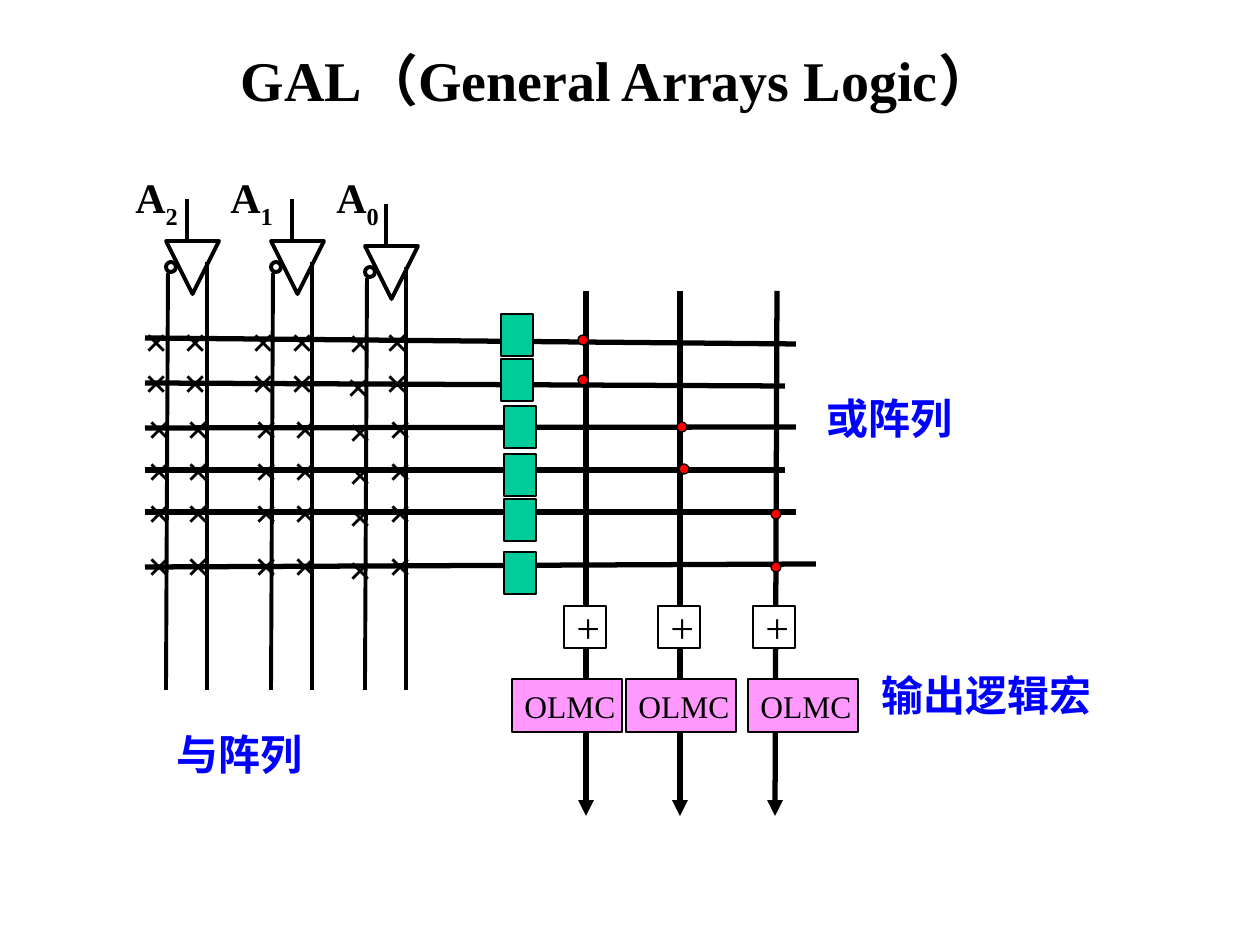
from pptx import Presentation
from pptx.dml.color import RGBColor
from pptx.enum.shapes import MSO_CONNECTOR, MSO_SHAPE
from pptx.enum.text import MSO_ANCHOR, MSO_AUTO_SIZE, PP_ALIGN
from pptx.oxml.ns import qn
from pptx.util import Emu, Pt
from lxml import etree

RECT, OVAL = MSO_SHAPE.RECTANGLE, MSO_SHAPE.OVAL
TRIANGLE = MSO_SHAPE.ISOSCELES_TRIANGLE
STRAIGHT = MSO_CONNECTOR.STRAIGHT
LEFT, CENTER = PP_ALIGN.LEFT, PP_ALIGN.CENTER
MIDDLE = MSO_ANCHOR.MIDDLE

# Content, lengths in px
TITLE = "GAL（General Arrays Logic）"
CAPTIONS = [("与阵列", 164, 722, 252), ("或阵列", 814, 386, 252),
            ("输出逻辑宏", 869, 663, 325)]
# subscript, buffer left, buffer top, label left
INPUTS = [("2", 166, 241, 123), ("1", 271, 241, 218), ("0", 365, 246, 324)]
# product lines: start y, end y, end x, AND gate x and y, cross y
ROW_LEFT = 145
ROWS = [(338, 344, 796, 501, 314, 309), (383, 386, 785, 501, 359, 350),
        (428, 427, 796, 504, 406, 396), (470, 470, 785, 504, 454, 438),
        (512, 512, 796, 504, 499, 480), (567, 564, 816, 504, 552, 533)]
CROSS_X = [132, 171, 239, 278, 373]
CROSS_A0 = [(336, 310), (334, 354), (336, 399), (336, 442), (336, 484), (336, 537)]
# sum lines: top x, bottom x, plus left, macrocell left, fuse dots
SUMS = [(586, 586, 564, 512, [(578, 335), (578, 375)]),
        (680, 680, 658, 626, [(677, 422), (679, 464)]),
        (777, 775, 753, 748, [(771, 509), (771, 562)])]

THEME = {"font": "Times New Roman", "ink": "000000", "note": "0000FF",
         "gate": "00CC99", "plus": "FFFFFF", "macro": "FF99FF", "dot": "FF0000",
         "title": 32, "label": 24, "small": 18,
         "thin": 0.75, "medium": 2.25, "thick": 3}


def px(v):
    return Emu(round(v * 914400 / 126))


def color(name):
    return RGBColor.from_string(THEME[name])


def add_run(p, text, size="label", ink="ink", bold=True):
    r = p.add_run()
    r.text = text
    look = {"name": THEME["font"], "size": Pt(THEME[size]), "bold": bold}
    for key, value in look.items():
        setattr(r.font, key, value)
    r.font.color.rgb = color(ink)
    return r


def add_line(s, x1, y1, x2, y2, width="medium", arrow=False):
    c = s.shapes.add_connector(STRAIGHT, px(x1), px(y1), px(x2), px(y2))
    c.line.color.rgb = color("ink")
    c.line.width = Pt(THEME[width])
    if arrow:
        etree.SubElement(c.line._get_or_add_ln(), qn("a:tailEnd"), type="triangle")
    etree.SubElement(c._element.spPr, qn("a:effectLst"))


def add_box(s, kind, x, y, w, h, fill=None, width="thin", text="", size="label"):
    sp = s.shapes.add_shape(kind, px(x), px(y), px(w), px(h))
    sp.shadow.inherit = False
    if fill:
        sp.fill.solid()
        sp.fill.fore_color.rgb = color(fill)
    else:
        sp.fill.background()
    sp.line.color.rgb = color("ink")
    sp.line.width = Pt(THEME[width])
    if text:
        tf = sp.text_frame
        tf.word_wrap = False
        tf.vertical_anchor = MIDDLE
        tf.paragraphs[0].alignment = LEFT
        add_run(tf.paragraphs[0], text, size, bold=False)
    return sp


def add_label(s, text, x, y, w, h=63, ink="ink"):
    tf = s.shapes.add_textbox(px(x), px(y), px(w), px(h)).text_frame
    tf.word_wrap = True
    tf.auto_size = MSO_AUTO_SIZE.SHAPE_TO_FIT_TEXT
    add_run(tf.paragraphs[0], text, ink=ink)
    return tf.paragraphs[0]


def add_input(s, index, x, y, label_x):
    add_box(s, TRIANGLE, x, y, 53, 53, width="medium").rotation = 180
    add_box(s, OVAL, x, y + 21, 10, 10, width="medium")
    add_line(s, x + 41, 690, x + 41, y + 21)
    add_line(s, x + 2, y + 32, x, 690)
    add_line(s, x + 21, y - 42, x + 21, y)
    p = add_label(s, "A", label_x, 165, 84)
    add_run(p, index).font._element.set("baseline", "-30000")


def main():
    prs = Presentation()
    prs.slide_width, prs.slide_height = px(1260), px(945)
    s = prs.slides.add_slide(prs.slide_layouts[5])

    # Title
    title = s.shapes.title
    box = {"left": 0, "top": 0, "width": 1235, "height": 158}
    for key, value in box.items():
        setattr(title, key, px(value))
    tf = title.text_frame
    tf.auto_size = MSO_AUTO_SIZE.NONE
    tf.vertical_anchor = MIDDLE
    tf.paragraphs[0].alignment = CENTER
    add_run(tf.paragraphs[0], TITLE, "title")

    # Product lines, input buffers and sum lines
    for y1, y2, right, *_ in ROWS:
        add_line(s, ROW_LEFT, y1, right, y2, "thick")
    for entry in INPUTS:
        add_input(s, *entry)
    for x1, x2, *_ in SUMS:
        add_line(s, x1, 291, x2, 816, "thick", arrow=True)

    # Crosses of the AND array and its gates
    for i, (_, _, _, gate_x, gate_y, cross_y) in enumerate(ROWS):
        shift = 0 if i < 2 else 3
        crosses = [(x + shift, cross_y) for x in CROSS_X] + [CROSS_A0[i]]
        for x, y in crosses:
            add_label(s, "×", x, y, 63)
        add_box(s, RECT, gate_x, gate_y, 32, 42, "gate")

    # Fuse dots, adders and output macrocells
    for _, _, plus_x, macro_x, dots in SUMS:
        for x, y in dots:
            add_box(s, OVAL, x, y, 10, 10, "dot")
        add_box(s, RECT, plus_x, 606, 42, 42, "plus", text="+")
        add_box(s, RECT, macro_x, 679, 110, 53, "macro", text="OLMC", size="small")

    # Captions
    for text, x, y, w in CAPTIONS:
        add_label(s, text, x, y, w, 64, "note")

    prs.save("out.pptx")


if __name__ == "__main__":
    main()
